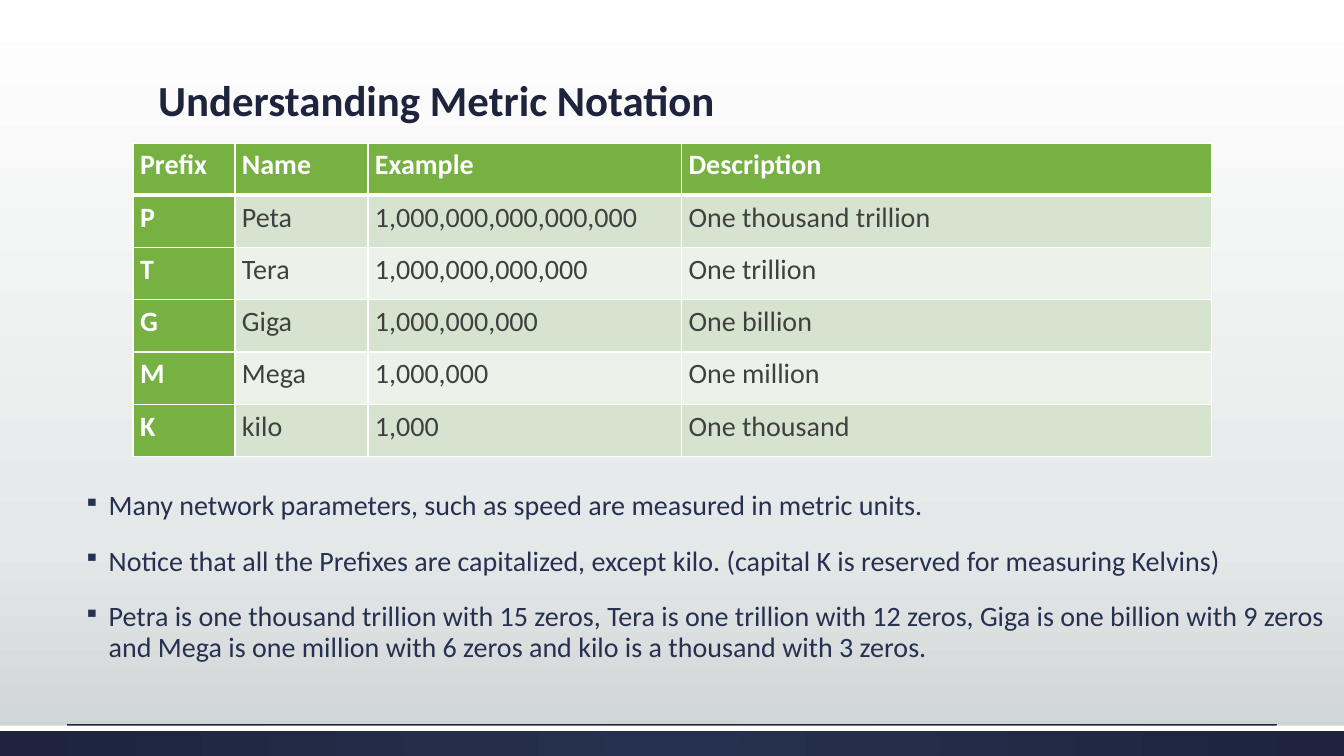
from lxml import etree
from pptx import Presentation
from pptx.dml.color import RGBColor
from pptx.enum.shapes import MSO_CONNECTOR, MSO_SHAPE
from pptx.enum.text import MSO_ANCHOR, PP_ALIGN
from pptx.oxml.ns import qn
from pptx.util import Inches, Pt

RECT = MSO_SHAPE.RECTANGLE
STRAIGHT = MSO_CONNECTOR.STRAIGHT
BOTTOM = MSO_ANCHOR.BOTTOM
JUSTIFY = PP_ALIGN.JUSTIFY

WIDTH, HEIGHT = Inches(13.33), Inches(7.5)
FONT = "Calibri"
COLORS = {
    "navy": "1D243C", "blue": "263050", "white": "FFFFFF", "text": "404040",
    "green": "77B142", "band_dark": "D6E4CF", "band_light": "ECF2E9",
    "mist": "E5E8E8", "gray": "CDD2D2",
}
COLUMNS = [7.58, 9.9, 23.33, 39.46]
ROW_HEIGHT = 6.91
PREFIXES = [
    ("Prefix", "Name", "Example", "Description"),
    ("P", "Peta", "1,000,000,000,000,000", "One thousand trillion"),
    ("T", "Tera", "1,000,000,000,000", "One trillion"),
    ("G", "Giga", "1,000,000,000", "One billion"),
    ("M", "Mega", "1,000,000", "One million"),
    ("K", "kilo", "1,000", "One thousand"),
]
NOTES = [
    "Many network parameters, such as speed are measured in metric units.",
    "Notice that all the Prefixes are capitalized, except kilo. "
    "(capital K is reserved for measuring Kelvins)",
    "Petra is one thousand trillion with 15 zeros, Tera is one trillion with "
    "12 zeros, Giga is one billion with 9 zeros and Mega is one million with "
    "6 zeros and kilo is a thousand with 3 zeros.",
]


def across(percent):
    return round(WIDTH * percent / 100)


def down(percent):
    return round(HEIGHT * percent / 100)


def area(left, top, width, height):
    """Turn percentages of the slide into a position and size."""
    return across(left), down(top), across(width), down(height)


def rgb(name):
    return RGBColor.from_string(COLORS[name])


def add_child(parent, tag, **attrs):
    child = etree.SubElement(parent, qn(tag))
    for key, value in attrs.items():
        child.set(key, str(value))
    return child


def set_gradient(holder, stops, radial=False):
    """Swap the solid fill inside holder for a gradient."""
    solid = holder.find(qn("a:solidFill"))
    grad = etree.Element(qn("a:gradFill"), rotWithShape="1")
    stop_list = add_child(grad, "a:gsLst")
    for percent, color in stops:
        stop = add_child(stop_list, "a:gs", pos=percent * 1000)
        add_child(stop, "a:srgbClr", val=COLORS[color])
    if radial:
        shade = add_child(grad, "a:path", path="circle")
        add_child(shade, "a:fillToRect", l=50000, t=50000, r=50000, b=50000)
    else:
        add_child(grad, "a:lin", ang=90 * 60000, scaled=0)
    holder.replace(solid, grad)


def add_run(p, text, size, color, bold=False):
    r = p.add_run()
    r.text = text
    r.font.name, r.font.size, r.font.bold = FONT, Pt(size), bold
    r.font.color.rgb = rgb(color)


def add_bar(s, box, color):
    sp = s.shapes.add_shape(RECT, *box)
    sp.shadow.inherit = False
    sp.fill.solid()
    sp.fill.fore_color.rgb = rgb(color)
    sp.line.fill.background()
    return sp


def add_rule(s, left, right, y):
    line = s.shapes.add_connector(
        STRAIGHT, across(left), down(y), across(right), down(y))
    line.line.color.rgb = rgb("navy")
    line.line.width = Pt(0.75)
    add_child(line._element.spPr, "a:effectLst")


def add_text_frame(s, box):
    tf = s.shapes.add_textbox(*box).text_frame
    tf.word_wrap = True
    return tf


def add_title(s, box, text):
    tf = add_text_frame(s, box)
    tf.vertical_anchor = BOTTOM
    tf.margin_bottom = down(7.2)
    p = tf.paragraphs[0]
    p.line_spacing = 0.9
    add_run(p, text, 30.6, "navy", bold=True)


def add_bullets(s, box, items):
    tf = add_text_frame(s, box)
    for i, item in enumerate(items):
        p = tf.add_paragraph() if i else tf.paragraphs[0]
        p.line_spacing, p.space_before = 0.9, Pt(18)
        pPr = p._p.get_or_add_pPr()
        pPr.set("marL", str(Inches(0.3)))
        pPr.set("indent", str(Inches(-0.25)))
        bullet_color = add_child(pPr, "a:buClr")
        add_child(bullet_color, "a:srgbClr", val=COLORS["blue"])
        add_child(pPr, "a:buSzPct", val=80000)
        add_child(pPr, "a:buChar", char="▪")
        add_run(p, item, 20, "blue")


def set_borders(cell, row):
    """White grid, with a thicker rule below the header row."""
    widths = {"L": 1, "R": 1, "T": 3 if row == 1 else 1,
              "B": 3 if row == 0 else 1}
    tcPr = cell._tc.get_or_add_tcPr()
    for i, (side, width) in enumerate(widths.items()):
        ln = etree.Element(qn(f"a:ln{side}"), w=str(Pt(width)))
        fill = add_child(ln, "a:solidFill")
        add_child(fill, "a:srgbClr", val=COLORS["white"])
        tcPr.insert(i, ln)


def add_prefix_table(s, left, top, rows):
    box = area(left, top, sum(COLUMNS), ROW_HEIGHT * len(rows))
    table = s.shapes.add_table(len(rows), len(COLUMNS), *box).table
    table.first_col = True
    for column, width in zip(table.columns, COLUMNS):
        column.width = across(width)
    for r, values in enumerate(rows):
        table.rows[r].height = down(ROW_HEIGHT)
        for c, text in enumerate(values):
            cell = table.cell(r, c)
            head = r == 0 or c == 0
            band = "band_dark" if r % 2 else "band_light"
            cell.fill.solid()
            cell.fill.fore_color.rgb = rgb("green" if head else band)
            cell.margin_left = cell.margin_right = Inches(0.07)
            cell.margin_top = cell.margin_bottom = 0
            set_borders(cell, r)
            p = cell.text_frame.paragraphs[0]
            p.alignment = JUSTIFY
            p.line_spacing, p.space_after = 1.15, Pt(10)
            add_run(p, text, 20, "white" if head else "text", bold=head)


def main():
    prs = Presentation()
    prs.slide_width, prs.slide_height = WIDTH, HEIGHT
    s = prs.slides.add_slide(prs.slide_layouts[6])

    # Background and footer band
    s.background.fill.solid()
    set_gradient(s._element.cSld.find(f"{qn('p:bg')}/{qn('p:bgPr')}"),
                 [(0, "white"), (72, "mist"), (100, "gray")])
    footer = add_bar(s, area(0, 96, 100, 4), "blue")
    set_gradient(footer._element.spPr, [(0, "blue"), (100, "navy")], radial=True)
    add_bar(s, area(0, 96, 100, 0.67), "white")
    add_rule(s, 5, 95, 95.9)

    # Title, notes and table
    add_title(s, area(11.03, 5.87, 78.02, 18), "Understanding Metric Notation")
    add_bullets(s, area(5.1, 64.4, 94.97, 41.07), NOTES)
    add_prefix_table(s, 9.9, 18.93, PREFIXES)

    prs.save("out.pptx")


if __name__ == "__main__":
    main()
